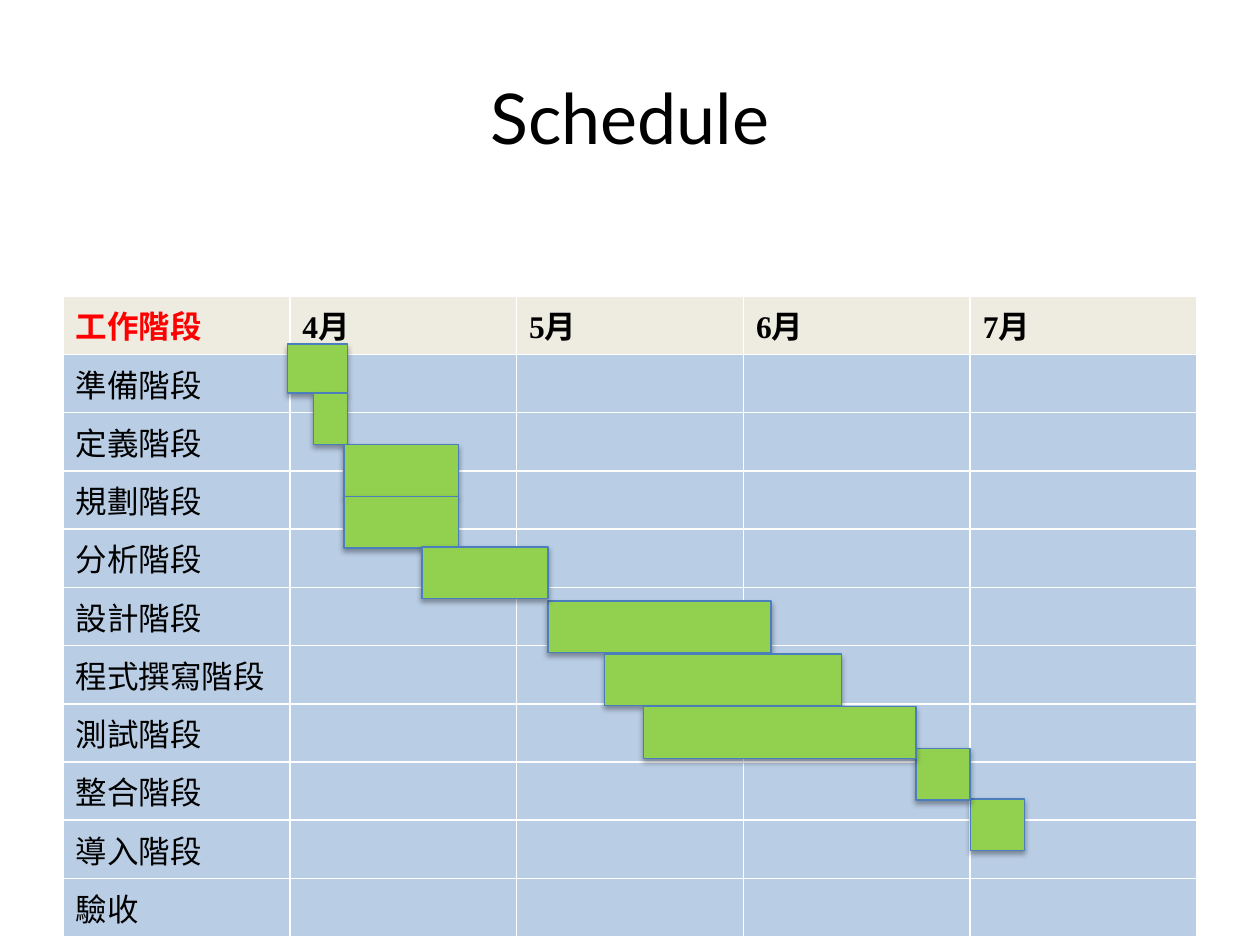
from dataclasses import dataclass

from lxml import etree
from pptx import Presentation
from pptx.dml.color import RGBColor
from pptx.enum import shapes, text
from pptx.oxml import ns
from pptx.util import Inches, Pt


@dataclass(frozen=True)
class Theme:
    """Colours, fonts and type sizes of the slide."""
    ink: str = "000000"
    accent: str = "FF0000"
    header_fill: str = "EEECE1"
    body_fill: str = "B9CDE5"
    bar_fill: str = "92D050"
    bar_line: str = "4B7EBC"
    title_font: str = "Lato"
    table_font: str = "Times New Roman"
    title_size: int = 40
    table_size: int = 18


def apply_format(target, values):
    """Set each named attribute on the target."""
    for name, value in values.items():
        setattr(target, name, value)


class SlideBuilder:
    """Holds the theme and the current slide."""

    def __init__(self, slide, theme):
        """Keep the slide and its style."""
        self.slide = slide
        self.theme = theme

    def format_font(self, font, color, **values):
        """Apply a colour and font attributes."""
        apply_format(font, values)
        font.color.rgb = RGBColor.from_string(color)

    def add_title(self, wording, left, top, width, height):
        """Fill and place the title placeholder."""
        title = self.slide.shapes.title
        apply_format(title, {"left": Inches(left), "top": Inches(top),
                             "width": Inches(width), "height": Inches(height)})
        title.text_frame.text = wording
        title.text_frame.vertical_anchor = text.MSO_ANCHOR.MIDDLE
        paragraph = title.text_frame.paragraphs[0]
        paragraph.alignment = text.PP_ALIGN.CENTER
        self.format_font(paragraph.runs[0].font, self.theme.ink,
                         name=self.theme.title_font,
                         size=Pt(self.theme.title_size))

    def add_schedule(self, header, phases, left, top, column_width, row_height):
        """Add the table of phases by month."""
        rows, columns = len(phases) + 1, len(header)
        table = self.slide.shapes.add_table(
            rows, columns, Inches(left), Inches(top),
            Inches(column_width * columns), Inches(row_height * rows)).table
        table.horz_banding = False
        for column in table.columns:
            column.width = Inches(column_width)
        for row in table.rows:
            row.height = Inches(row_height)
        lines = [header] + [[phase] + [""] * (columns - 1) for phase in phases]
        for row_index, line in enumerate(lines):
            for column_index, wording in enumerate(line):
                self.fill_cell(table.cell(row_index, column_index), wording,
                               row_index == 0, row_index + column_index == 0)

    def fill_cell(self, cell, wording, is_header, is_corner):
        """Colour one cell and write its text."""
        theme = self.theme
        cell.fill.solid()
        cell.fill.fore_color.rgb = RGBColor.from_string(
            theme.header_fill if is_header else theme.body_fill)
        paragraph = cell.text_frame.paragraphs[0]
        font = paragraph.font
        if wording:
            run = paragraph.add_run()
            run.text = wording
            font = run.font
        self.format_font(font, theme.accent if is_corner else theme.ink,
                         name=theme.table_font, size=Pt(theme.table_size),
                         bold=is_header)

    def add_bar(self, left, top, width, height):
        """Add one schedule bar with a soft shadow."""
        bar = self.slide.shapes.add_shape(
            shapes.MSO_SHAPE.RECTANGLE, Inches(left), Inches(top),
            Inches(width), Inches(height))
        bar.fill.solid()
        bar.fill.fore_color.rgb = RGBColor.from_string(self.theme.bar_fill)
        bar.line.color.rgb = RGBColor.from_string(self.theme.bar_line)
        bar.line.width = Pt(0.75)
        bar.shadow.inherit = False
        effects = bar.element.spPr.find(ns.qn("a:effectLst"))
        shadow = etree.SubElement(
            effects, ns.qn("a:outerShdw"), blurRad=str(Pt(3.1)),
            dist=str(Pt(1.8)), dir="5400000", rotWithShape="0")
        color = etree.SubElement(shadow, ns.qn("a:srgbClr"), val=self.theme.ink)
        etree.SubElement(color, ns.qn("a:alpha"), val="35000")


HEADER = ["工作階段", "4月", "5月", "6月", "7月"]
PHASES = ["準備階段", "定義階段", "規劃階段", "分析階段", "設計階段",
          "程式撰寫階段", "測試階段", "整合階段", "導入階段", "驗收"]
BAR_HEIGHT = 0.41
# Left, top and width of each bar, from back to front
BARS = [(7.7, 6.34, 0.43), (7.27, 5.94, 0.43), (4.35, 4.77, 1.77),
        (4.8, 5.19, 1.88), (5.11, 5.61, 2.16), (2.28, 2.73, 0.48, 0.39),
        (2.49, 3.12, 0.27), (2.73, 3.53, 0.91), (2.73, 3.94, 0.91),
        (3.35, 4.34, 1)]


def main():
    """Build and save the schedule slide."""
    presentation = Presentation()
    presentation.slide_width = Inches(10)
    presentation.slide_height = Inches(7.5)
    slide = presentation.slides.add_slide(presentation.slide_layouts[5])
    builder = SlideBuilder(slide, Theme())
    builder.add_title("Schedule", 0.5, 0.3, 9, 1.25)
    builder.add_schedule(HEADER, PHASES, 0.5, 2.35, 1.8, 0.41)
    for left, top, width, *height in BARS:
        builder.add_bar(left, top, width, *(height or [BAR_HEIGHT]))
    presentation.save("out.pptx")


main()
